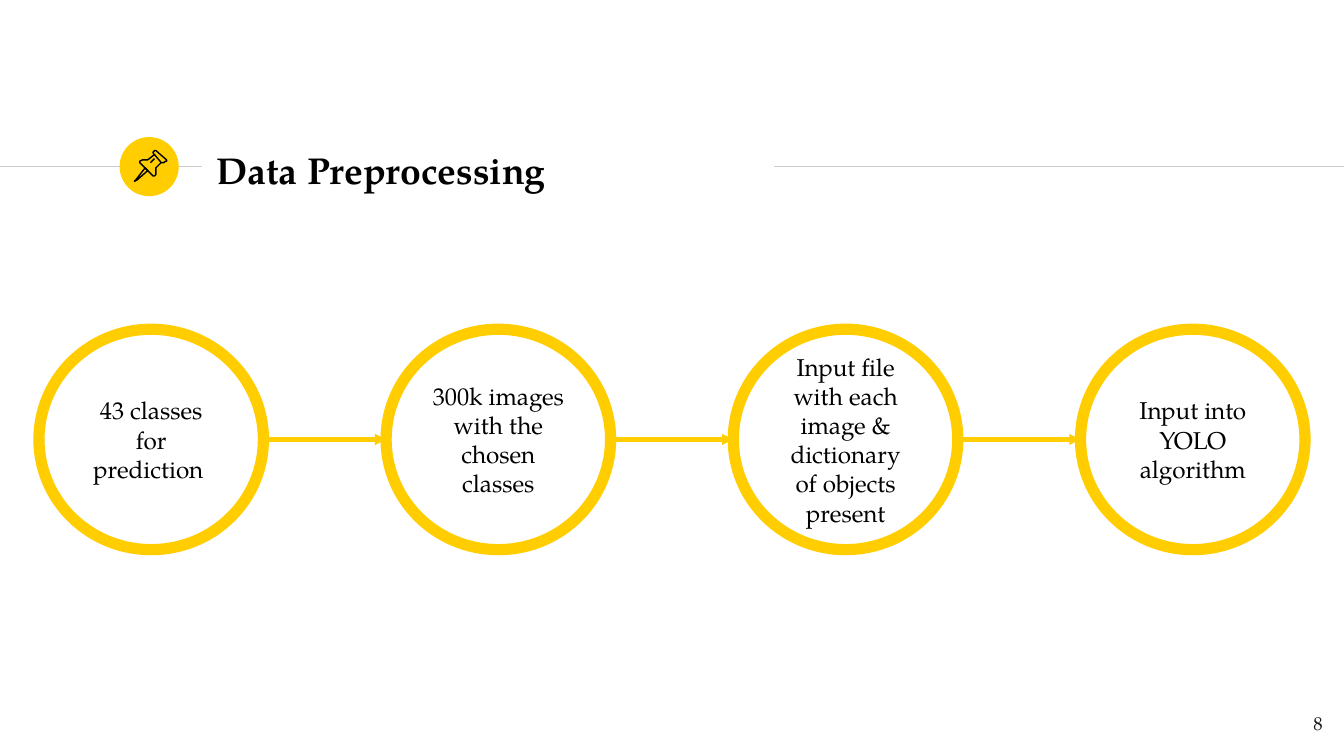
from pptx import Presentation
from pptx.dml.color import RGBColor as RGB
from pptx.enum.shapes import MSO_CONNECTOR as CONN, MSO_SHAPE as SHAPE
from pptx.enum.text import MSO_ANCHOR as ANCHOR, PP_ALIGN as ALIGN
from pptx.oxml.ns import qn
from pptx.util import Inches, Pt
from lxml.etree import SubElement as Sub

# Content
TITLE = "Data Preprocessing"
STEPS = [
    "43 classes for prediction ",
    "300k images with the chosen classes",
    "Input file with each image & dictionary of objects present",
    "Input into YOLO algorithm",
]
PAGE = "8"

# Pushpin outlines, in hundredths of an inch: (points, closed)
PIN = [
    ([(108, 125), (101, 134), (100, 135), (102, 134), (110, 127)], True),
    ([(115, 115), (120, 121), (122, 121), (123, 120), (124, 120),
      (124, 119), (116, 112), (115, 112), (114, 113), (114, 114)], True),
    ([(115, 115), (110, 119), (108, 119), (106, 119), (104, 120),
      (104, 121), (114, 131), (115, 131), (116, 130), (116, 128),
      (116, 125), (120, 121)], False),
    ([(112, 121), (115, 118)], False),
]

# Style
FONT = "TeX Gyre Pagella"
COLOR = {"gold": "FFCD00", "rule": "CCCCCC", "ink": "000000", "page": "1D1D1B"}
WIDE = 10
HIGH = WIDE * 9 / 16
RULE_Y = 1.24
LEFT, STEP_W, STEP_H = 0.29, 1.67, 1.64
MID_Y = 3.27
PITCH = (WIDE - 2 * LEFT - STEP_W) / (len(STEPS) - 1)


def paint(part, color):
    part.fill.solid()
    part.fill.fore_color.rgb = RGB.from_string(COLOR[color])


def stroke(shape, color, width):
    paint(shape.line, color)
    shape.line.width = Pt(width)


def write(shape, text, size, color="ink", bold=False, align=ALIGN.LEFT,
          anchor=ANCHOR.MIDDLE):
    frame = shape.text_frame
    frame.text = text
    look = {"word_wrap": True, "vertical_anchor": anchor}
    look.update({f"margin_{side}": Inches(0.1)
                 for side in ("left", "top", "right", "bottom")})
    for key, value in look.items():
        setattr(frame, key, value)
    para = frame.paragraphs[0]
    para.alignment = align
    font = para.runs[0].font
    for key, value in {"name": FONT, "size": Pt(size), "bold": bold}.items():
        setattr(font, key, value)
    font.color.rgb = RGB.from_string(COLOR[color])


def link(x1, x2, y, color, width, arrow=False):
    line = slide.shapes.add_connector(
        CONN.STRAIGHT, *map(Inches, (x1, y, x2, y)))
    stroke(line, color, width)
    if arrow:
        Sub(line.line._get_or_add_ln(), qn("a:tailEnd"),
            type="triangle", w="sm", len="sm")
    Sub(line._element.spPr, qn("a:effectLst"))


def oval(x, y, w, h):
    shape = slide.shapes.add_shape(SHAPE.OVAL, *map(Inches, (x, y, w, h)))
    shape.shadow.inherit = False
    return shape


deck = Presentation()
deck.slide_width, deck.slide_height = Inches(WIDE), Inches(HIGH)
slide = deck.slides.add_slide(deck.slide_layouts[5])

# Header rules and badge
link(0, 1.5, RULE_Y, "rule", 0.75)
badge = oval(0.89, 1.02, 0.44, 0.44)
paint(badge, "gold")
badge.line.fill.background()
link(5.76, WIDE, RULE_Y, "rule", 0.75)

# Title
title = slide.shapes.title
for key, value in {"left": 1.51, "top": 1.02, "width": 4.24,
                   "height": 0.48}.items():
    setattr(title, key, Inches(value))
write(title, TITLE, 20, bold=True)

# Pushpin
for points, closed in PIN:
    pen = slide.shapes.build_freeform(*points[0], scale=Inches(0.01))
    pen.add_line_segments(points[1:], close=closed)
    part = pen.convert_to_shape()
    part.shadow.inherit = False
    part.fill.background()
    stroke(part, "ink", 0.75)

# Steps and the arrows between them
for i, text in enumerate(STEPS):
    x = LEFT + i * PITCH
    ring = oval(x, MID_Y - STEP_H / 2, STEP_W, STEP_H)
    ring.fill.background()
    stroke(ring, "gold", 6)
    write(ring, text, 13, align=ALIGN.CENTER)
    if i:
        link(x - PITCH + STEP_W, x, MID_Y, "gold", 3, arrow=True)

# Page number
page = slide.shapes.add_textbox(*map(Inches, (9.34, 5.21, 0.6, 0.41)))
write(page, PAGE, 10, "page", align=ALIGN.RIGHT, anchor=ANCHOR.TOP)

deck.save("out.pptx")
